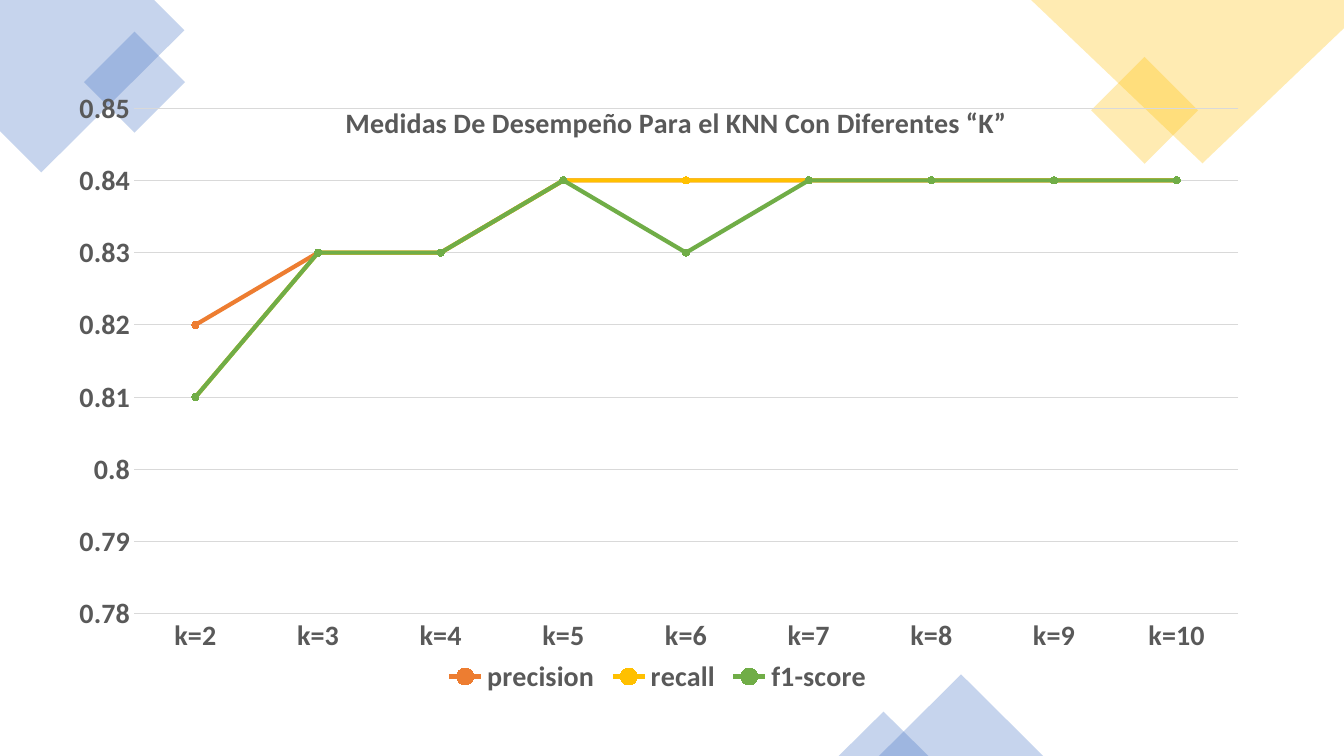
from dataclasses import dataclass

from lxml.etree import SubElement as Sub
from pptx import Presentation
from pptx.chart.data import CategoryChartData as Data
from pptx.dml.color import RGBColor as Rgb
from pptx.enum.chart import XL_CHART_TYPE as Kind
from pptx.enum.chart import XL_LEGEND_POSITION as Place
from pptx.enum.chart import XL_MARKER_STYLE as Mark
from pptx.enum.chart import XL_TICK_MARK as Tick
from pptx.enum.shapes import MSO_SHAPE as Form
from pptx.oxml.ns import qn
from pptx.util import Emu, Inches, Pt

COLS, ROWS = 160, 90
CELL = Inches(1 / 12)


@dataclass(frozen=True)
class Theme:
    face: str = "Calibri"
    blue: str = "4472C4"
    gold: str = "FFC000"
    orange: str = "ED7D31"
    green: str = "70AD47"
    text: str = "595959"
    grid: str = "D9D9D9"
    size: float = 20
    thin: float = 0.75
    thick: float = 3
    dot: int = 5
    alpha: int = 30


@dataclass(frozen=True)
class Box:
    form: Form
    left: float
    top: float
    wide: float
    high: float
    color: str
    turn: float = 0


@dataclass(frozen=True)
class Patch:
    points: tuple[tuple[float, float], ...]
    color: str


@dataclass(frozen=True)
class Curve:
    name: str
    color: str
    vals: tuple[float, ...]


THEME = Theme()
PATCHES = (
    Patch(((18.36, 0), (0, 0), (0, 15.6), (4.92, 20.52), (21.96, 3.6)), THEME.blue),
    Patch(((COLS, 0), (122.76, 0), (143.16, 19.44), (COLS, 3.36)), THEME.gold),
)
BOXES = (
    Box(Form.RECTANGLE, 11.76, 5.52, 8.52, 8.52, THEME.blue, 315),
    Box(Form.RECTANGLE, 131.76, 8.64, 9, 9, THEME.gold, 315),
    Box(Form.ISOSCELES_TRIANGLE, 104.64, 80.28, 19.56, 9.72, THEME.blue),
    Box(Form.ISOSCELES_TRIANGLE, 99.84, 84.72, 10.68, 5.28, THEME.blue),
)
CURVES = (
    Curve("precision", THEME.orange,
          (0.82, 0.83, 0.83, 0.84, 0.84, 0.84, 0.84, 0.84, 0.84)),
    Curve("recall", THEME.gold,
          (0.81, 0.83, 0.83, 0.84, 0.84, 0.84, 0.84, 0.84, 0.84)),
    Curve("f1-score", THEME.green,
          (0.81, 0.83, 0.83, 0.84, 0.83, 0.84, 0.84, 0.84, 0.84)),
)


def cells(count: float) -> Emu:
    return Emu(round(count * CELL))


def style(font, *, size: float = THEME.size, bold: bool = True,
          color: str = THEME.text) -> None:
    font.name, font.size, font.bold = THEME.face, Pt(size), bold
    font.color.rgb = Rgb.from_string(color)


def write(frame, text: str, **look) -> None:
    run = frame.paragraphs[0].add_run()
    run.text = text
    style(run.font, **look)


def paint(shape, color: str) -> None:
    """Fill with a see-through colour, without outline or shadow."""
    shape.shadow.inherit = False
    shape.line.fill.background()
    shape.fill.solid()
    shape.fill.fore_color.rgb = Rgb.from_string(color)
    tint = shape.element.spPr.find(qn("a:solidFill"))[0]
    Sub(tint, qn("a:alpha"), val=str(THEME.alpha * 1000))


def stroke(line, color: str, width: float) -> None:
    line.color.rgb = Rgb.from_string(color)
    line.width = Pt(width)


def draw_patch(slide, patch: Patch) -> None:
    first, *rest = [(cells(x), cells(y)) for x, y in patch.points]
    pen = slide.shapes.build_freeform(*first)
    pen.add_line_segments(rest, close=True)
    paint(pen.convert_to_shape(), patch.color)


def draw_box(slide, box: Box) -> None:
    shape = slide.shapes.add_shape(
        box.form, *map(cells, (box.left, box.top, box.wide, box.high)))
    shape.rotation = box.turn
    paint(shape, box.color)


def lay_out(part, index: int, inner: bool = False, **shares: float) -> None:
    """Place a chart part by percentages of the chart's size."""
    old = part.find(qn("c:layout"))
    if old is not None:
        part.remove(old)
    layout = Sub(part, qn("c:layout"))
    part.insert(index, layout)
    manual = Sub(layout, qn("c:manualLayout"))
    if inner:
        Sub(manual, qn("c:layoutTarget"), val="inner")
    for key in ("x", "y"):
        Sub(manual, qn(f"c:{key}Mode"), val="edge")
    for key, share in shares.items():
        Sub(manual, qn(f"c:{key}"), val=f"{share / 100:.4f}")


def dress_axes(chart) -> None:
    base, scale = chart.category_axis, chart.value_axis
    for axis in (base, scale):
        axis.major_tick_mark = axis.minor_tick_mark = Tick.NONE
        style(axis.tick_labels.font)
    stroke(base.format.line, THEME.grid, THEME.thin)
    scale.format.line.fill.background()
    scale.minimum_scale, scale.maximum_scale, scale.major_unit = 0.78, 0.85, 0.01
    scale.has_major_gridlines = True
    stroke(scale.major_gridlines.format.line, THEME.grid, THEME.thin)


def dress_curve(line, curve: Curve) -> None:
    line.smooth = False
    stroke(line.format.line, curve.color, THEME.thick)
    dot = line.marker
    dot.style, dot.size = Mark.CIRCLE, THEME.dot
    dot.format.fill.solid()
    dot.format.fill.fore_color.rgb = Rgb.from_string(curve.color)
    stroke(dot.format.line, curve.color, THEME.thin)


def draw_chart(slide) -> None:
    data = Data(number_format="General")
    data.categories = [f"k={k}" for k in range(2, 11)]
    for curve in CURVES:
        data.add_series(curve.name, curve.vals)
    chart = slide.shapes.add_chart(
        Kind.LINE_MARKERS, *map(cells, (6.48, 9.48, 143.64, 73.8)), data).chart
    style(chart.font)
    chart.has_title = True
    title = chart.chart_title
    write(title.text_frame, "Medidas De Desempeño Para el KNN Con Diferentes “K”")
    lay_out(title.element, 1, x=23.7, y=2.9)
    title.element.find(qn("c:overlay")).set("val", "1")
    area = chart.element.find(".//" + qn("c:plotArea"))
    lay_out(area, 0, inner=True, x=6.6, y=4.6, w=91.5, h=81.6)
    chart.has_legend = True
    chart.legend.position = Place.BOTTOM
    chart.legend.include_in_layout = False
    style(chart.legend.font)
    dress_axes(chart)
    plot = chart.plots[0]
    plot.vary_by_categories = False
    for line, curve in zip(plot.series, CURVES):
        dress_curve(line, curve)


def main() -> None:
    deck = Presentation()
    deck.slide_width, deck.slide_height = cells(COLS), cells(ROWS)
    slide = deck.slides.add_slide(deck.slide_layouts[6])
    for patch in PATCHES:
        draw_patch(slide, patch)
    for box in BOXES:
        draw_box(slide, box)
    draw_chart(slide)
    deck.save("out.pptx")


if __name__ == "__main__":
    main()
